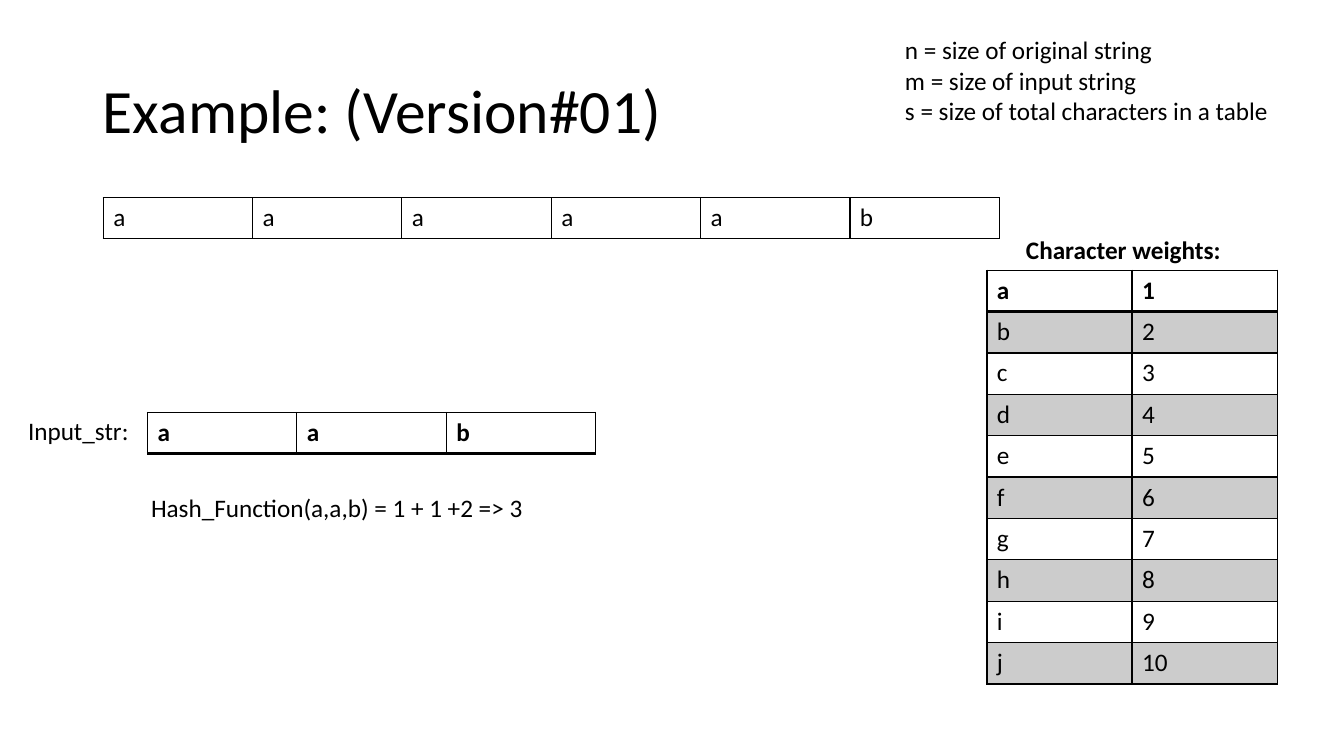
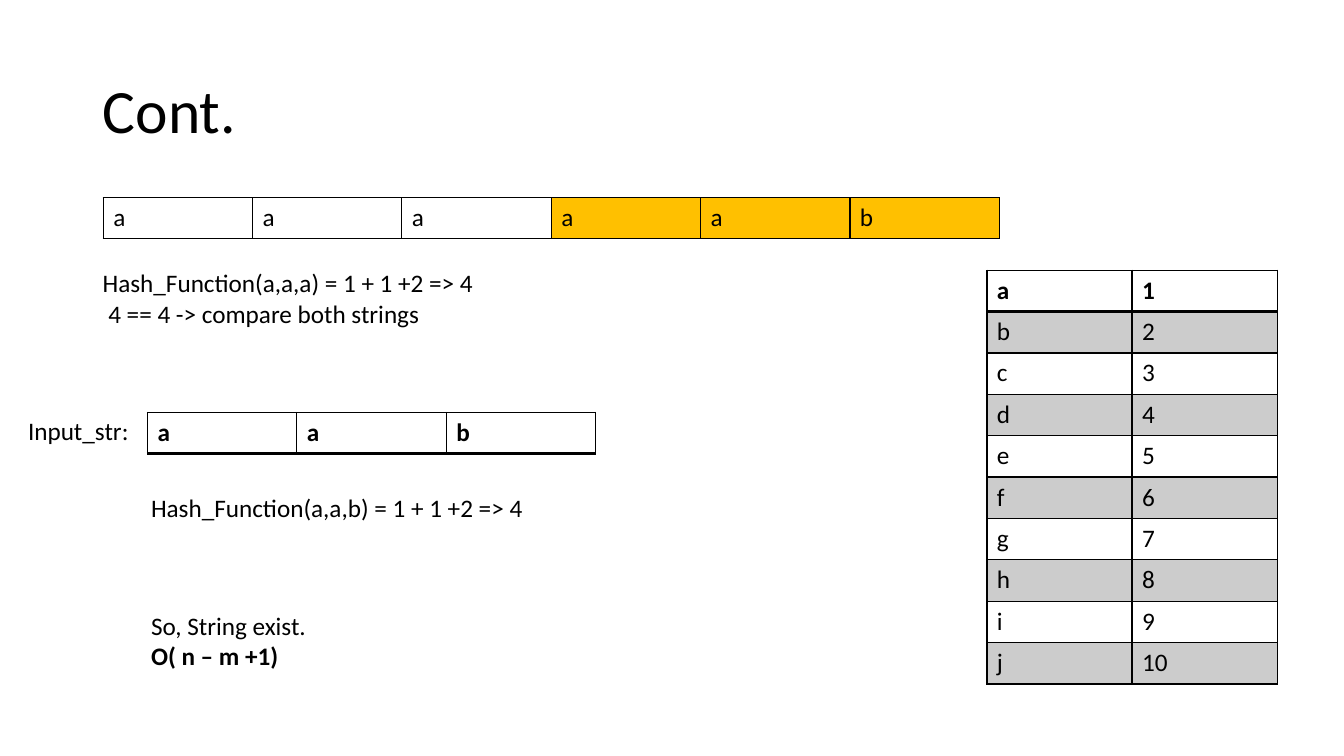
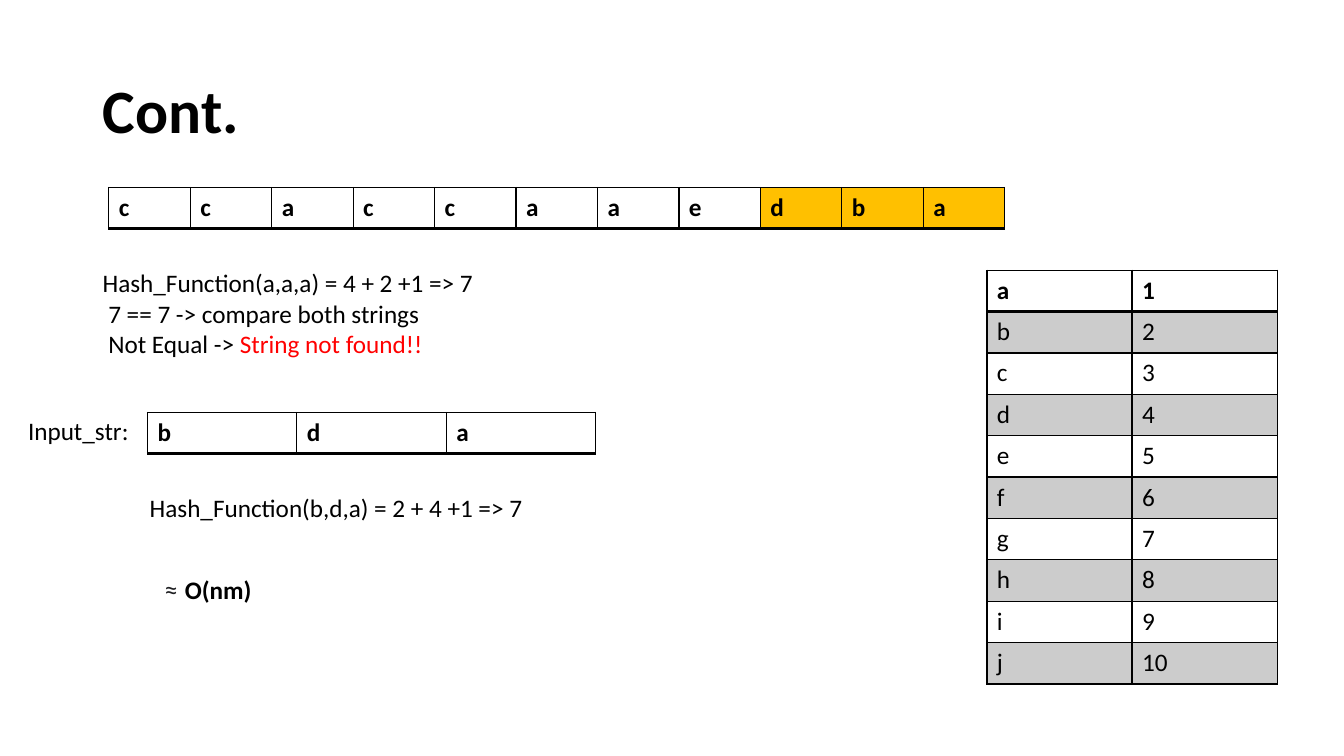
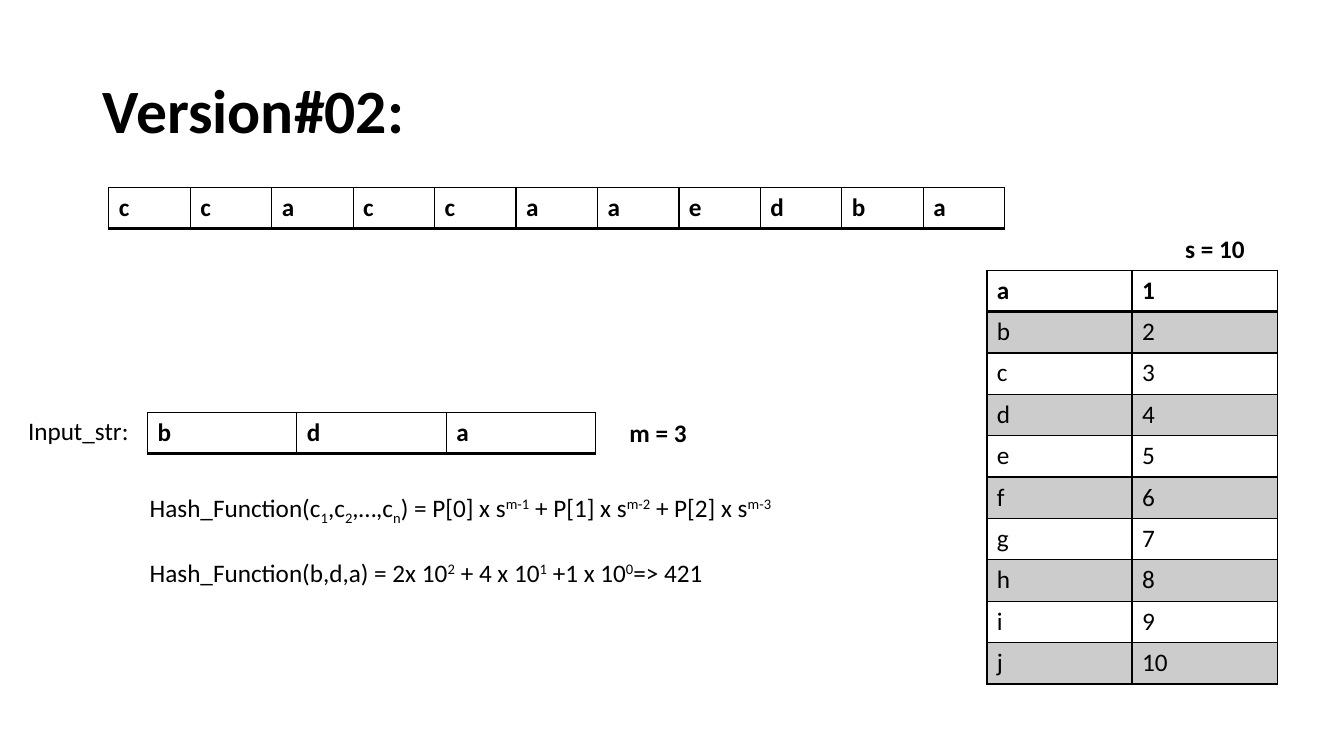
from lxml.etree import SubElement
from pptx import Presentation
from pptx.dml.color import RGBColor
from pptx.enum.text import MSO_ANCHOR as Anchor, MSO_AUTO_SIZE as AutoSize, PP_ALIGN as Align
from pptx.oxml.ns import qn
from pptx.util import Inches, Pt

BLACK, WHITE, BAND, AMBER, RED, INK = "000000", "FFFFFF", "CCCCCC", "FFC000", "FF0000", "202124"
FONT, TITLE_SIZE, BODY_SIZE = "Calibri", 44, 18
SUB, SUP = -25000, 30000


def rgb(value):
    return RGBColor.from_string(value)


class Deck:
    """Style and current slide; positions and sizes are percentages of the slide."""

    def __init__(self):
        self.prs = Presentation()
        self.prs.slide_width, self.prs.slide_height = Inches(13.333), Inches(7.5)
        self.s = None

    def box(self, x, y, w, h):
        sw, sh = self.prs.slide_width, self.prs.slide_height
        return [int(v * side / 100) for v, side in ((x, sw), (y, sh), (w, sw), (h, sh))]

    def font(self, f, size=BODY_SIZE, bold=False, color=BLACK, name=FONT):
        f.size, f.bold, f.name = Pt(size), bold, name
        f.color.rgb = rgb(color)

    def slide(self, title, bold=False):
        self.s = self.prs.slides.add_slide(self.prs.slide_layouts[5])
        sp = self.s.shapes.title
        sp.left, sp.top, sp.width, sp.height = self.box(6.9, 5.32, 86.25, 19.33)
        tf = sp.text_frame
        tf.text, tf.vertical_anchor, tf.auto_size = title, Anchor.MIDDLE, AutoSize.NONE
        p = tf.paragraphs[0]
        p.alignment, p.line_spacing = Align.LEFT, 0.9
        self.font(p.font, TITLE_SIZE, bold)

    def text(self, x, y, w, *lines, bold=False, gap=0):
        """Each line is a string or a list of strings and (string, style) pairs."""
        sp = self.s.shapes.add_textbox(*self.box(x, y, w, 1.35 + 4.04 * len(lines)))
        tf = sp.text_frame
        tf.word_wrap, tf.auto_size = True, AutoSize.SHAPE_TO_FIT_TEXT
        for i, line in enumerate(lines):
            p = tf.add_paragraph() if i else tf.paragraphs[0]
            if i and gap:
                p.space_before = Pt(gap)
            self.font(p.font, bold=bold)
            for part in [line] if isinstance(line, str) else line:
                self.run(p, *((part, {}) if isinstance(part, str) else part))

    def run(self, p, text, style):
        r = p.add_run()
        r.text = text
        if "base" in style:
            r.font._element.set("baseline", str(style["base"]))
        if "bold" in style:
            r.font.bold = style["bold"]
        if "name" in style:
            r.font.name = style["name"]
        if "color" in style:
            r.font.color.rgb = rgb(style["color"])

    def borders(self, cell, bottom):
        tc_pr = cell._tc.get_or_add_tcPr()
        for side, width in (("L", 1), ("R", 1), ("T", 1), ("B", bottom)):
            ln = SubElement(tc_pr, qn(f"a:ln{side}"), w=str(Pt(width)))
            fill = SubElement(ln, qn("a:solidFill"))
            SubElement(fill, qn("a:srgbClr"), val=BLACK)

    def table(self, x, y, w, row_h, rows, fill, bold, bottom):
        """fill, bold and bottom are rules called with the row and column."""
        n, m = len(rows), len(rows[0])
        table = self.s.shapes.add_table(n, m, *self.box(x, y, w, row_h * n)).table
        table.first_row = table.horz_banding = False
        for i, row in enumerate(rows):
            for j, value in enumerate(row):
                cell = table.cell(i, j)
                cell.text = value
                self.font(cell.text_frame.paragraphs[0].font, bold=bold(i, j))
                self.borders(cell, bottom(i, j))
                cell.fill.solid()
                cell.fill.fore_color.rgb = rgb(fill(i, j))

    def weights(self):
        rows = [(c, str(i)) for i, c in enumerate("abcdefghij", 1)]
        self.table(73.43, 35.73, 21.6, 5.48, rows,
                   fill=lambda i, j: BAND if i % 2 else WHITE,
                   bold=lambda i, j: i == 0,
                   bottom=lambda i, j: 1 if i else 2)

    def letters(self, x, y, w, string, bold=True, marked=0):
        """One row of letters, with the last ones marked."""
        self.table(x, y, w, 5.4, [string],
                   fill=lambda i, j: AMBER if j >= len(string) - marked else WHITE,
                   bold=lambda i, j: bold,
                   bottom=lambda i, j: 2 if bold else 1)

    def short_string(self, marked=0):
        self.letters(7.68, 26.15, 66.67, "aaaaab", bold=False, marked=marked)

    def long_string(self, marked=0):
        self.letters(8.1, 24.8, 66.67, "ccaccaaedba", marked=marked)

    def input_string(self, string):
        self.letters(10.97, 54.55, 33.35, string)
        self.text(1.35, 54.27, 13.4, "Input_str:")


def sup(text):
    return text, {"base": SUP}


def sub(text):
    return text, {"base": SUB}


def main():
    d = Deck()

    # Version 1: the strings and the weights
    d.slide("Example: (Version#01)")
    d.weights()
    d.short_string()
    d.input_string("aab")
    d.text(10.5, 64.5, 32.8, "Hash_Function(a,a,b) = 1 + 1 +2 => 3")
    d.text(75.6, 30.3, 18.6, "Character weights:", bold=True)
    d.text(66.6, 3.95, 29.8, "n = size of original string", "m = size of input string",
           "s = size of total characters in a table")

    # Match at the last window
    d.slide("Cont.")
    d.weights()
    d.short_string(marked=3)
    d.input_string("aab")
    d.text(10.5, 64.5, 32.8, "Hash_Function(a,a,b) = 1 + 1 +2 => 4")
    d.text(6.9, 34.75, 32.8, "Hash_Function(a,a,a) = 1 + 1 +2 => 4",
           " 4 == 4 -> compare both strings")
    d.text(10.5, 80.05, 32.8, "So, String exist.", [("O( n – m +1)", {"bold": True})])

    # Equal hashes, different strings
    d.slide("Cont.", bold=True)
    d.weights()
    d.long_string(marked=3)
    d.input_string("bda")
    d.text(10.4, 64.45, 50, "Hash_Function(b,d,a) = 2 + 4 +1 => 7")
    d.text(6.9, 34.75, 32.8, "Hash_Function(a,a,a) = 4 + 2 +1 => 7",
           " 7 == 7 -> compare both strings",
           [" Not Equal -> ", ("String not found!!", {"color": RED})])
    d.text(10.97, 75.25, 50,
           [(" ≈ ", {"name": "Lato", "color": INK}), ("O(nm)", {"bold": True})])

    # Version 2: positional hash
    d.slide("Version#02:", bold=True)
    d.weights()
    d.long_string()
    d.input_string("bda")
    d.text(10.4, 64.45, 50,
           ["Hash_Function(c", sub("1"), ",c", sub("2"), ",…,c", sub("n"), ") = P[0] x s",
            sup("m-1"), " + P[1] x s", sup("m-2"), " + P[2] x s", sup("m-3")],
           ["Hash_Function(b,d,a) = 2x 10", sup("2"), " + 4 x 10", sup("1"),
            " +1 x 10", sup("0"), "=> 421"], gap=22)
    d.text(46.1, 54.5, 13.4, "m = 3", bold=True)
    d.text(87.45, 30.25, 13.4, "s = 10", bold=True)

    d.prs.save("out.pptx")


if __name__ == "__main__":
    main()
